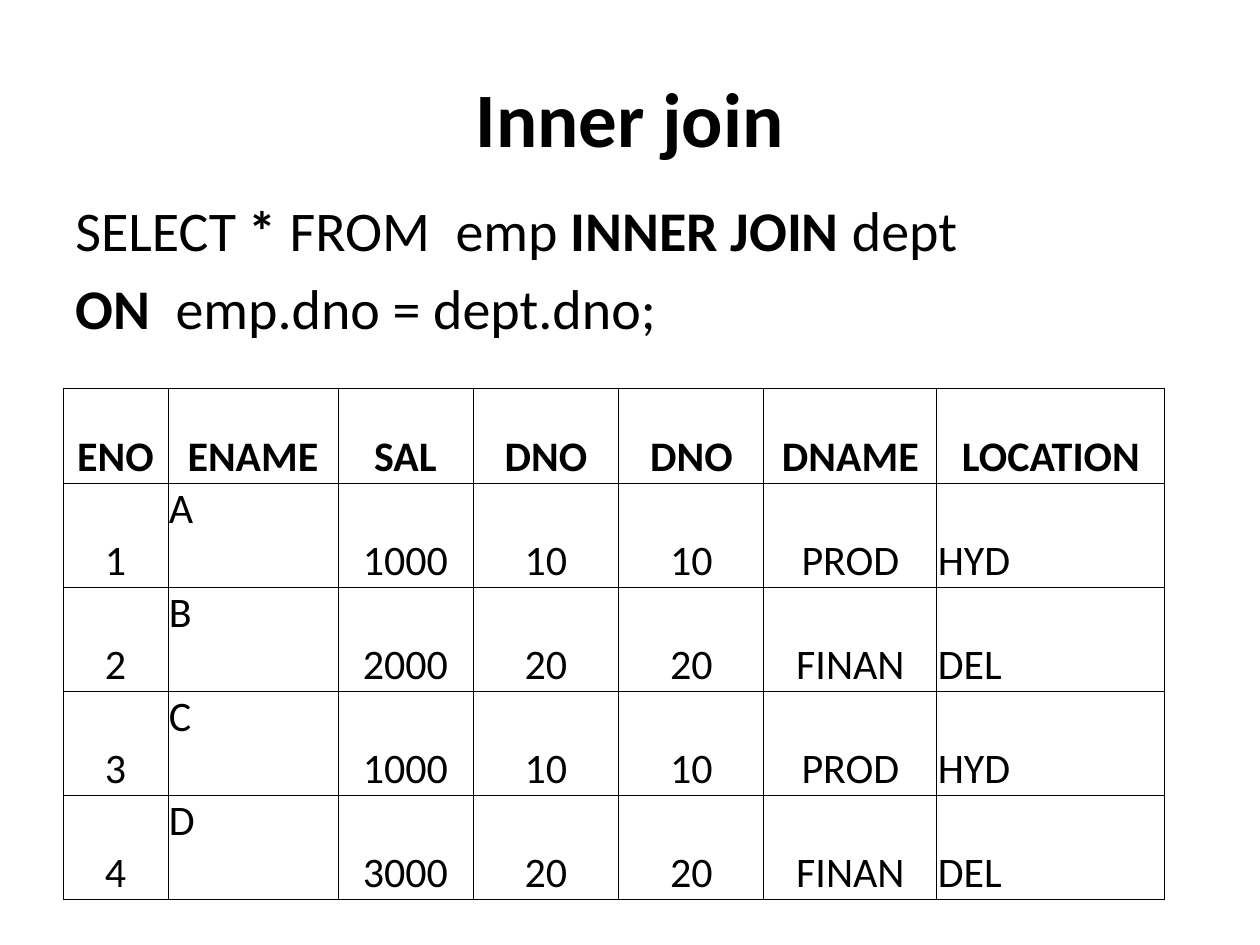
from lxml import etree
from pptx import Presentation
from pptx.dml.color import RGBColor
from pptx.enum.text import MSO_ANCHOR, PP_ALIGN
from pptx.oxml.ns import qn
from pptx.util import Pt

EMU_PER_PX = 914400 / 126
COLORS = {"text": "000000", "border": "000000", "background": "FFFFFF"}
FONT = "Calibri"
TOP, MIDDLE, BOTTOM = MSO_ANCHOR.TOP, MSO_ANCHOR.MIDDLE, MSO_ANCHOR.BOTTOM
LEFT, CENTER = PP_ALIGN.LEFT, PP_ALIGN.CENTER

TITLE = "Inner join"
QUERY = [
    [("SELECT ", False), ("*", True), (" FROM  emp ", False),
     ("INNER JOIN ", True), ("dept", False)],
    [("ON", True), ("  emp.dno = dept.dno;", False)],
]
ROWS = [
    ["ENO", "ENAME", "SAL", "DNO", "DNO", "DNAME", "LOCATION"],
    ["1", "A", "1000", "10", "10", "PROD", "HYD"],
    ["2", "B", "2000", "20", "20", "FINAN", "DEL"],
    ["3", "C", "1000", "10", "10", "PROD", "HYD"],
    ["4", "D", "3000", "20", "20", "FINAN", "DEL"],
]
COLUMN_WIDTHS = [105, 170, 135, 146, 145, 173, 228]
HEADER_HEIGHT = 95
ROW_HEIGHT = 104
NAME_COLUMN, LOCATION_COLUMN = 1, 6


def px(value):
    return round(value * EMU_PER_PX)


def set_font(font, size):
    font.name = FONT
    font.size = Pt(size)
    font.color.rgb = RGBColor.from_string(COLORS["text"])


def add_text_frame(slide, box, anchor):
    tf = slide.shapes.add_textbox(*map(px, box)).text_frame
    tf.word_wrap = True
    tf.vertical_anchor = anchor
    return tf


def add_title(slide, box):
    p = add_text_frame(slide, box, MIDDLE).paragraphs[0]
    p.text = TITLE
    p.alignment = CENTER
    set_font(p.font, 44)
    p.font.bold = True


def add_query(slide, box):
    tf = add_text_frame(slide, box, TOP)
    for i, runs in enumerate(QUERY):
        p = tf.add_paragraph() if i else tf.paragraphs[0]
        p.space_before = Pt(6.4)
        set_font(p.font, 32)
        for text, bold in runs:
            r = p.add_run()
            r.text = text
            r.font.bold = bold


def add_borders(cell):
    tc_pr = cell._tc.get_or_add_tcPr()
    for side in ("lnL", "lnR", "lnT", "lnB"):
        ln = etree.SubElement(tc_pr, qn(f"a:{side}"), w=str(Pt(0.5)))
        fill = etree.SubElement(ln, qn("a:solidFill"))
        etree.SubElement(fill, qn("a:srgbClr"), val=COLORS["border"])


def fill_cell(cell, text, header, column):
    cell.margin_left = cell.margin_right = cell.margin_top = px(1)
    cell.margin_bottom = 0
    add_borders(cell)
    cell.fill.background()
    is_name = column == NAME_COLUMN and not header
    is_location = column == LOCATION_COLUMN and not header
    cell.vertical_anchor = TOP if is_name else BOTTOM
    p = cell.text_frame.paragraphs[0]
    p.text = text
    p.alignment = LEFT if is_name or is_location else CENTER
    set_font(p.font, 24)
    p.font.bold = header


def add_result_table(slide, left, top):
    heights = [HEADER_HEIGHT] + [ROW_HEIGHT] * (len(ROWS) - 1)
    box = (left, top, sum(COLUMN_WIDTHS), sum(heights))
    table = slide.shapes.add_table(len(ROWS), len(COLUMN_WIDTHS), *map(px, box)).table
    table.first_row = True
    table.horz_banding = False
    for column, width in zip(table.columns, COLUMN_WIDTHS):
        column.width = px(width)
    for i, (values, height) in enumerate(zip(ROWS, heights)):
        table.rows[i].height = px(height)
        for j, text in enumerate(values):
            fill_cell(table.cell(i, j), text, i == 0, j)


def main():
    prs = Presentation()
    prs.slide_width, prs.slide_height = px(1260), px(945)
    slide = prs.slides.add_slide(prs.slide_layouts[6])
    slide.background.fill.solid()
    slide.background.fill.fore_color.rgb = RGBColor.from_string(COLORS["background"])
    add_title(slide, (63, 38, 1134, 158))
    add_query(slide, (63, 189, 1134, 683))
    add_result_table(slide, 63, 388)
    prs.save("out.pptx")


if __name__ == "__main__":
    main()
